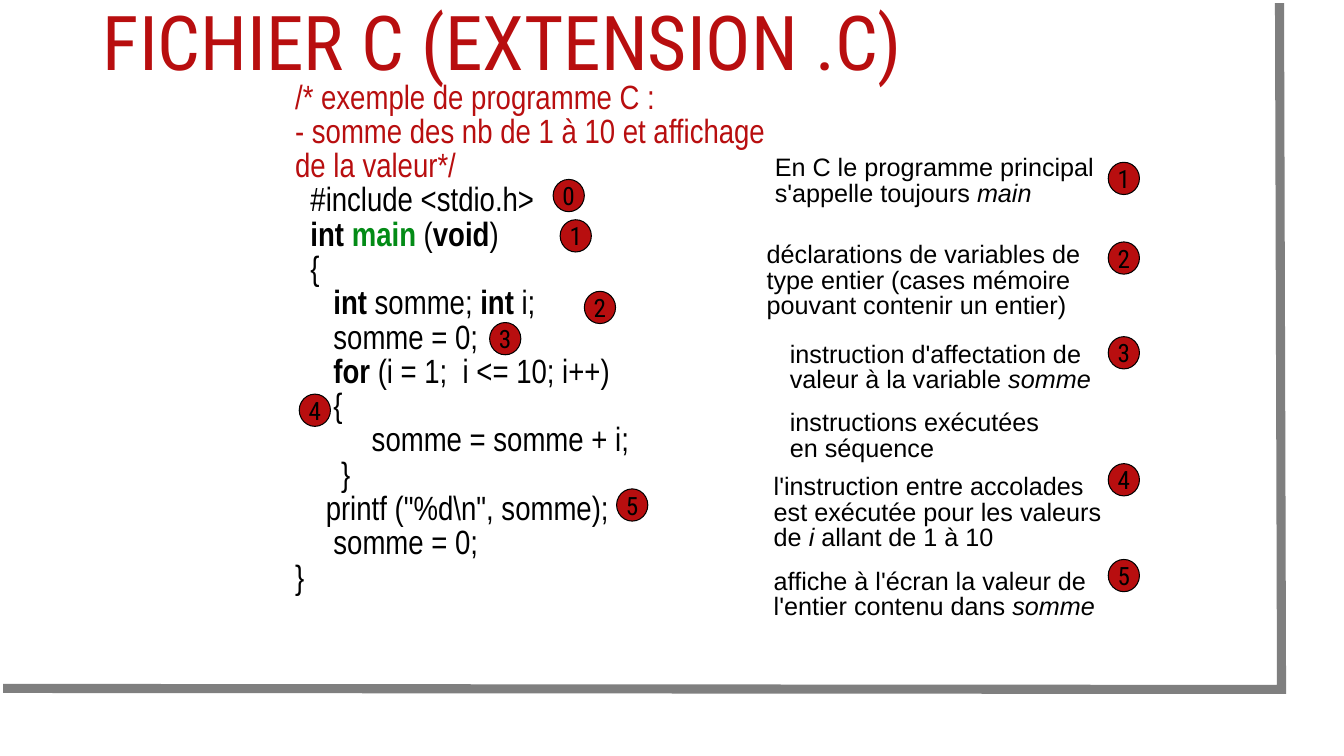
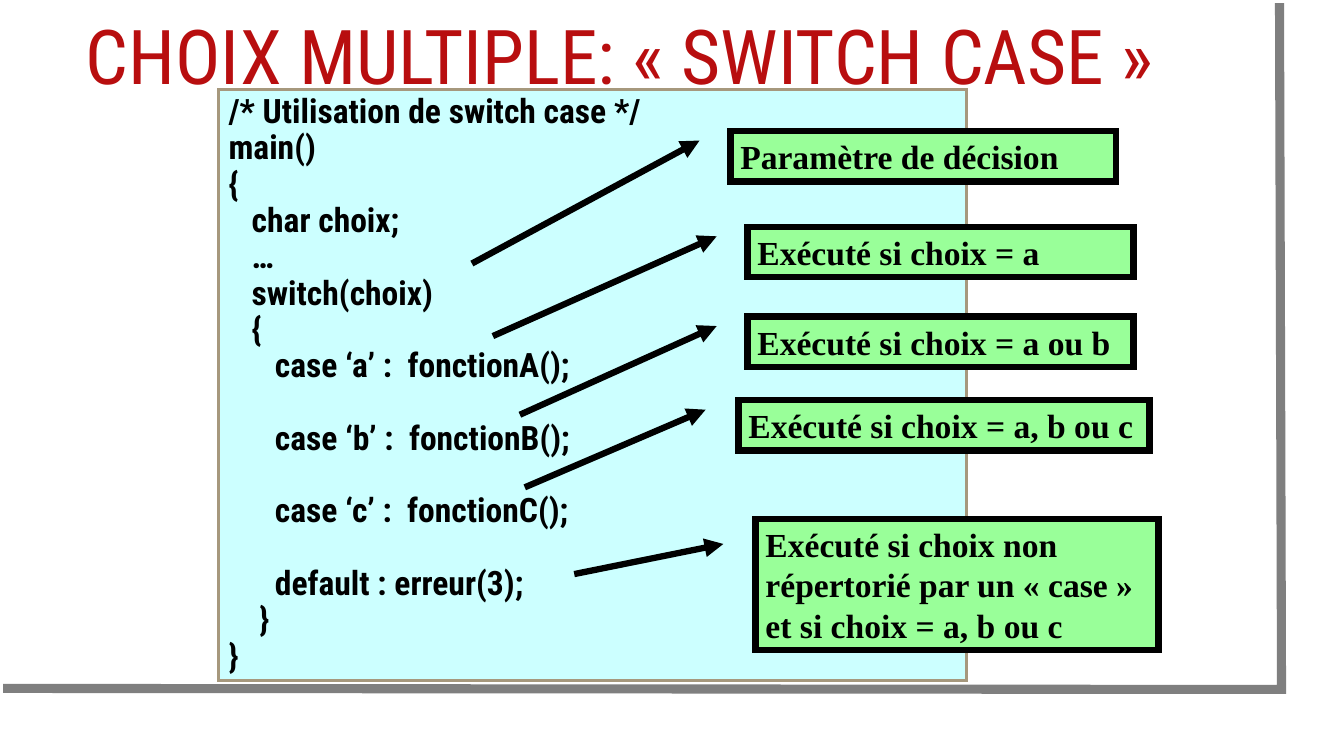
import lxml.etree
import pptx
import pptx.dml.color
import pptx.enum.shapes
import pptx.enum.text
import pptx.oxml.ns
import pptx.util

PX = 9144  # one px is a hundredth of an inch
RGB = pptx.dml.color.RGBColor
RED = RGB(0xB8, 0x0E, 0x0F)
GREEN = RGB(0x03, 0x8B, 0x16)
BLACK = RGB(0, 0, 0)
GREY = RGB(0x7F, 0x7F, 0x7F)
CYAN = RGB(0xCC, 0xFF, 0xFF)
TAN = RGB(0xA6, 0x98, 0x7D)
LIME = RGB(0x99, 0xFF, 0x99)

FORM = pptx.enum.shapes.MSO_SHAPE
ALIGN = pptx.enum.text.PP_ALIGN
ANCHOR = pptx.enum.text.MSO_ANCHOR
SIZE = pptx.enum.text.MSO_AUTO_SIZE
Pt = pptx.util.Pt

HEAD = {"name": "Roboto Condensed", "size": Pt(54), "color": RED}
CODE = {"name": "Arial Narrow", "size": Pt(24), "color": BLACK}
NOTE = {"name": "Arial", "size": Pt(18), "color": BLACK}
DISC = {"name": "Roboto Condensed", "size": Pt(18), "color": BLACK}
CASE = {"name": "Roboto Condensed", "size": Pt(24), "color": BLACK, "bold": True}
CALL = {"name": "Times New Roman", "size": Pt(24), "color": BLACK, "bold": True}
BOLD = {"bold": True}
ITALIC = {"italic": True}

PROGRAM = [
    [("/* exemple de programme C :", {"color": RED})],
    [("- somme des nb de 1 à 10 et affichage de la valeur*/", {"color": RED})],
    "  #include <stdio.h>",
    [("  int ", BOLD), ("main", {"bold": True, "color": GREEN}), (" (", {}),
     ("void", BOLD), (")", {})],
    "  {",
    [("     ", {}), ("int", BOLD), (" somme; ", {}), ("int", BOLD), (" i;", {})],
    "     somme = 0;",
    [("     ", {}), ("for", BOLD), (" (i = 1;  i <= 10; i++)", {})],
    "     {",
    "          somme = somme + i;",
    "      }",
    r'    printf ("%d\n", somme);',
    "     somme = 0;",
    "}",
]
MARKS = [("0", 549, 178), ("1", 556, 218), ("2", 580, 289),
         ("3", 486, 320), ("4", 297, 391), ("5", 612, 485)]
KEY = 1100  # left edge of the legend's discs, where the notes end
LEGEND = [("1", 161), ("2", 240), ("3", 334), ("4", 460), ("5", 555)]
NOTES = [
    (762, 152, 57, ["En C le programme principal",
                    [("s'appelle toujours ", {}), ("main", ITALIC)]]),
    (754, 238, 82, ["déclarations de variables de",
                    "type entier (cases mémoire",
                    "pouvant contenir un entier)"]),
    (777, 337, 57, ["instruction d'affectation de",
                    [("valeur à la variable ", {}), ("somme", ITALIC)]]),
    (777, 405, 57, ["instructions exécutées", "en séquence"]),
    (761, 468, 82, ["l'instruction entre accolades",
                    "est exécutée pour les valeurs",
                    [("de ", {}), ("i", ITALIC), (" allant de 1 à 10", {})]]),
    (761, 562, 57, ["affiche à l'écran la valeur de",
                    [("l'entier contenu dans ", {}), ("somme", ITALIC)]]),
]
SWITCH = [
    "/* Utilisation de switch case */",
    "main()",
    "{",
    "   char choix;",
    "   …",
    "   switch(choix)",
    "   {",
    "      case ‘a’ :  fonctionA();",
    "      case ‘b’ :  fonctionB();",
    "      case ‘c’ :  fonctionC();",
    "      default : erreur(3);",
    "    }",
    "}",
]
# box, then the far end of its pointer as (down, across) shares of the box
CALLS = [
    ((725, 130, 383, 50), (2.63, -0.67), ["Paramètre de décision"]),
    ((742, 225, 383, 50), (2.17, -0.66), ["Exécuté si choix = a"]),
    ((742, 314, 383, 50), (1.95, -0.59), ["Exécuté si choix = a ou b"]),
    ((733, 397, 408, 50), (1.73, -0.52), ["Exécuté si choix = a, b ou c"]),
    ((750, 515, 400, 130), (0.42, -0.45),
     ["Exécuté si choix non répertorié par un « case »",
      "et si choix = a, b ou c"]),
]


def emu(box):
    return [n * PX for n in box]


def style(font, look):
    for key, value in look.items():
        if key == "color":
            font.color.rgb = value
        else:
            setattr(font, key, value)


def write(frame, lines, look, pitch=1.0, align=ALIGN.LEFT, gaps=()):
    """Fill a frame; lines whose index is in gaps get a line of space before."""
    for i, line in enumerate(lines):
        para = frame.paragraphs[0] if i == 0 else frame.add_paragraph()
        para.alignment = align
        para.line_spacing = pitch
        if i in gaps:
            para.space_before = Pt(26)
        for text, extra in [(line, {})] if isinstance(line, str) else line:
            run = para.add_run()
            run.text = text
            style(run.font, {**look, **extra})


def edge(shape, color, width, head=False):
    """Draw a sharp-cornered outline, with an arrowhead at its start if asked."""
    shape.shadow.inherit = False
    shape.line.color.rgb = color
    shape.line.width = Pt(width)
    qn = pptx.oxml.ns.qn
    line = shape.element.spPr.find(qn("a:ln"))
    lxml.etree.SubElement(line, qn("a:miter"), lim="800000")
    if head:
        lxml.etree.SubElement(line, qn("a:headEnd"), type="triangle")


def block(slide, form, box, fill, color, width, head=False):
    shape = slide.shapes.add_shape(form, *emu(box))
    shape.fill.solid()
    shape.fill.fore_color.rgb = fill
    edge(shape, color, width, head)
    shape.text_frame.word_wrap = True
    shape.text_frame.vertical_anchor = ANCHOR.TOP
    return shape


def plain(slide, box, lines, look):
    frame = slide.shapes.add_textbox(*emu(box)).text_frame
    frame.margin_left = 7 * PX
    frame.margin_right = 0
    frame.margin_top = frame.margin_bottom = 3 * PX
    frame.word_wrap = True
    write(frame, lines, look, 0.85)


def badge(slide, text, x, y):
    disc = block(slide, FORM.OVAL, (x, y, 31, 32), RED, BLACK, 0.75)
    disc.text_frame.word_wrap = False
    disc.text_frame.vertical_anchor = ANCHOR.MIDDLE
    write(disc.text_frame, [text], DISC, align=ALIGN.CENTER)


def callout(slide, box, end, lines):
    shape = block(slide, FORM.LINE_CALLOUT_1, box, LIME, BLACK, 4.5, True)
    for i, value in enumerate((0.19, -0.08, *end)):
        shape.adjustments[i] = value
    write(shape.text_frame, lines, CALL)


def border(slide):
    """Draw the corner frame and hand it to the layout all slides share."""
    pen = slide.shapes.build_freeform(1270, 3, scale=float(PX))
    pen.add_line_segments([(1272, 684), (3, 683)], close=False)
    shape = pen.convert_to_shape()
    shape.fill.background()
    edge(shape, GREY, 6.5)
    slide.slide_layout.shapes.element.append(shape.element)


def start(deck, text, box):
    slide = deck.slides.add_slide(deck.slide_layouts[5])
    title = slide.shapes.title
    title.left, title.top, title.width, title.height = emu(box)
    frame = title.text_frame
    frame.word_wrap = True
    frame.auto_size = SIZE.NONE
    frame.vertical_anchor = ANCHOR.MIDDLE
    write(frame, [text], HEAD, 0.9)
    return slide


def main():
    deck = pptx.Presentation()
    deck.slide_width, deck.slide_height = emu((1334, 750))

    slide = start(deck, "FICHIER C (EXTENSION .C)", (92, -11, 1150, 113))
    border(slide)
    plain(slide, (286, 78, 483, 516), PROGRAM, CODE)
    for x, y, high, lines in NOTES:
        plain(slide, (x, y, KEY - x, high), lines, NOTE)
    for text, x, y in MARKS:
        badge(slide, text, x, y)
    for text, y in LEGEND:
        badge(slide, text, KEY, y)

    slide = start(deck, "CHOIX MULTIPLE: « SWITCH CASE »", (75, -3, 1137, 126))
    panel = block(slide, FORM.RECTANGLE, (217, 89, 742, 586), CYAN, TAN, 2)
    write(panel.text_frame, SWITCH, CASE, 0.9, gaps=(8, 9, 10))
    for box, end, lines in CALLS:
        callout(slide, box, end, lines)

    deck.save("out.pptx")


if __name__ == "__main__":
    main()
